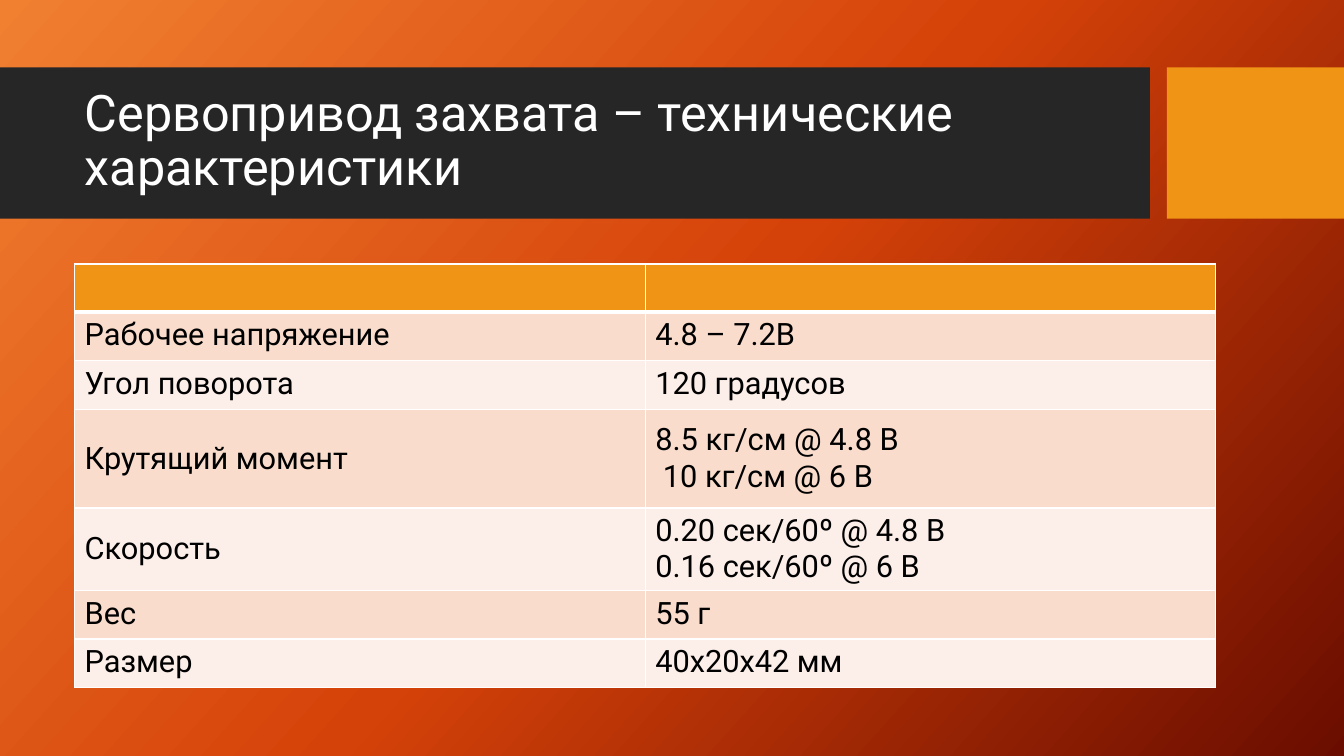
from copy import deepcopy
from dataclasses import dataclass

from lxml.etree import SubElement
from pptx import Presentation
from pptx.dml.color import RGBColor as RGB
from pptx.enum.shapes import MSO_SHAPE as SHAPE
from pptx.enum.text import MSO_ANCHOR as ANCHOR, PP_ALIGN as ALIGN
from pptx.oxml.ns import qn
from pptx.util import Cm, Pt


@dataclass(frozen=True)
class Theme:
    font: str = "Roboto"
    title_size: int = 36
    cell_size: int = 22
    white: str = "FFFFFF"
    black: str = "000000"
    band: str = "262626"
    accent: str = "F09415"
    row_fills: tuple = ("F9DCCC", "FCEEE8")
    gradient: tuple = ((0, "F18031"), (0.5, "D54209"), (1, "6A0D00"))
    gradient_angle: int = 42


THEME = Theme()
TITLE = "Сервопривод захвата – технические характеристики"
LEFT = 1.88
COLUMN_WIDTH = 14.38
# Row height in cm, then the two cell texts
ROWS = [
    (1.22, "", ""),
    (1.22, "Рабочее напряжение", "4.8 – 7.2В"),
    (1.22, "Угол поворота", "120 градусов"),
    (2.49, "Крутящий момент", "8.5 кг/см @ 4.8 В\n 10 кг/см @ 6 В"),
    (2.08, "Скорость", "0.20 сек/60º @ 4.8 В\n0.16 сек/60º @ 6 В"),
    (1.22, "Вес", "55 г"),
    (1.22, "Размер", "40х20х42 мм"),
]


def set_background(s):
    fill = s.background.fill
    fill.gradient()
    fill.gradient_angle = 360 - THEME.gradient_angle
    stop_list = s.element.find(".//" + qn("a:gsLst"))
    stop_list.append(deepcopy(stop_list[-1]))
    for stop, (position, color) in zip(fill.gradient_stops, THEME.gradient):
        stop.position = position
        stop.color.rgb = RGB.from_string(color)


def add_bar(s, left, width, color):
    sp = s.shapes.add_shape(SHAPE.RECTANGLE, Cm(left), Cm(1.7), Cm(width), Cm(3.81))
    sp.shadow.inherit = False
    sp.fill.solid()
    sp.fill.fore_color.rgb = RGB.from_string(color)
    sp.line.fill.background()


def format_text(tf, size, color, **paragraph_format):
    for p in tf.paragraphs:
        for name, value in paragraph_format.items():
            setattr(p, name, value)
        for r in p.runs:
            r.font.color.rgb = RGB.from_string(color)
            for name, value in {"name": THEME.font, "size": Pt(size), "bold": False}.items():
                setattr(r.font, name, value)


def set_title(s, text):
    title = s.shapes.title
    box = {"left": Cm(LEFT), "top": Cm(2.08), "width": Cm(26.7), "height": Cm(3)}
    for name, value in box.items():
        setattr(title, name, value)
    tf = title.text_frame
    tf.text = text
    tf.word_wrap = True
    tf.vertical_anchor = ANCHOR.MIDDLE
    format_text(tf, THEME.title_size, THEME.white, alignment=ALIGN.LEFT, line_spacing=0.9)
    # Bring the title in front of the bars
    title.element.getparent().append(title.element)


def set_borders(cell, top, bottom):
    """Draw white borders; the XML schema wants them ahead of the fill."""
    props = cell._tc.get_or_add_tcPr()
    widths = {"L": 1, "R": 1, "T": top, "B": bottom}
    for index, (side, width) in enumerate(widths.items()):
        line = SubElement(props, qn(f"a:ln{side}"), w=str(Pt(width)))
        SubElement(SubElement(line, qn("a:solidFill")), qn("a:srgbClr"), val=THEME.white)
        props.insert(index, line)


def add_spec_table(s, rows):
    height = sum(row[0] for row in rows)
    table = s.shapes.add_table(
        len(rows), 2, Cm(LEFT), Cm(6.65), Cm(2 * COLUMN_WIDTH), Cm(height)
    ).table
    for i, (row_height, *texts) in enumerate(rows):
        table.rows[i].height = Cm(row_height)
        is_tall = any("\n" in text for text in texts)
        color = THEME.row_fills[(i - 1) % 2] if i else THEME.accent
        for cell, text in zip(table.rows[i].cells, texts):
            cell.text = text
            cell.vertical_anchor = ANCHOR.MIDDLE if is_tall else ANCHOR.TOP
            format_text(cell.text_frame, THEME.cell_size, THEME.black)
            cell.fill.solid()
            cell.fill.fore_color.rgb = RGB.from_string(color)
            set_borders(cell, top=3 if i == 1 else 1, bottom=3 if i == 0 else 1)


def main():
    prs = Presentation()
    prs.slide_width, prs.slide_height = Cm(33.87), Cm(19.05)
    s = prs.slides.add_slide(prs.slide_layouts[5])
    set_background(s)
    add_bar(s, 0, 28.98, THEME.band)
    add_bar(s, 29.41, 4.46, THEME.accent)
    set_title(s, TITLE)
    add_spec_table(s, ROWS)
    prs.save("out.pptx")


if __name__ == "__main__":
    main()
